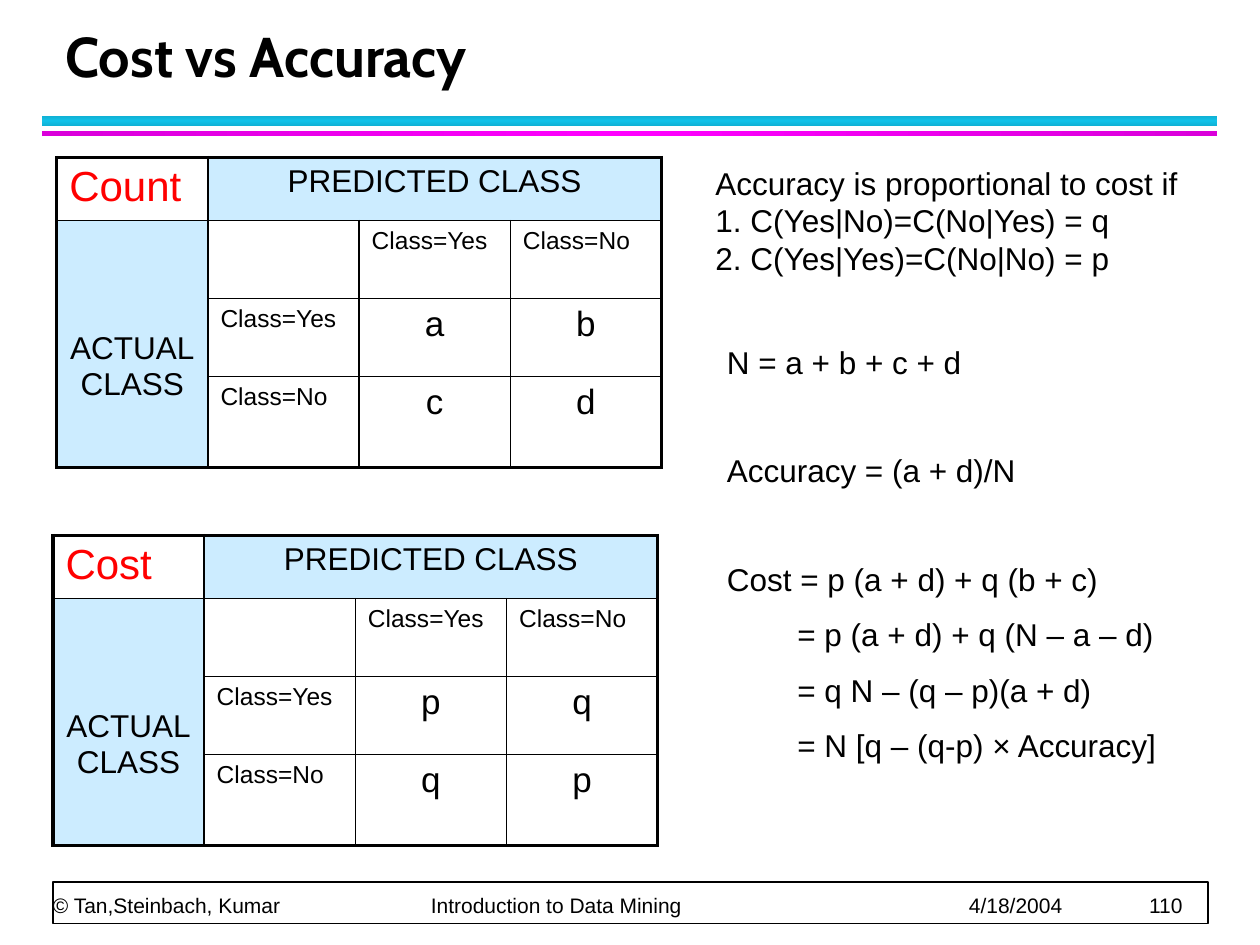
import copy

import pptx
import pptx.dml.color
import pptx.enum.shapes
import pptx.enum.text
import pptx.oxml.ns
import pptx.util
from lxml import etree

Inches = pptx.util.Inches
Pt = pptx.util.Pt
RGBColor = pptx.dml.color.RGBColor
Align = pptx.enum.text.PP_ALIGN
Anchor = pptx.enum.text.MSO_ANCHOR
qn = pptx.oxml.ns.qn

BLACK = RGBColor(0x00, 0x00, 0x00)
WHITE = RGBColor(0xFF, 0xFF, 0xFF)
RED = RGBColor(0xFF, 0x00, 0x00)
PALE = RGBColor(0xCC, 0xEC, 0xFF)
CYAN = RGBColor(0x12, 0xC2, 0xE9)
TEAL = RGBColor(0x10, 0xB0, 0xD3)
PINK = RGBColor(0xFF, 0x00, 0xFF)
PLUM = RGBColor(0xDA, 0x00, 0xDA)

THICK, THIN = 2.25, 1
COLS = [1.2] * 4
ROWS = [0.49, 0.62, 0.62, 0.72]


class Page:
    """Holds the text style and the slide being drawn."""

    style = {"name": "Arial", "size": Pt(18), "bold": False}

    def __init__(self, slide):
        self.slide = slide

    def label(self, para, text, color=BLACK, align=Align.LEFT, **extra):
        para.text = text
        para.alignment = align
        for run in para.runs:
            for key, val in {**self.style, **extra}.items():
                setattr(run.font, key, val)
            run.font.color.rgb = color

    def text(self, box, lines, anchor=Anchor.TOP, inset=(0.1, 0.05), **extra):
        """Lines are (text, space before in points, left indent in inches)."""
        frame = self.slide.shapes.add_textbox(*map(Inches, box)).text_frame
        side, edge = map(Inches, inset)
        form = {"word_wrap": True, "vertical_anchor": anchor,
                "margin_left": side, "margin_right": side,
                "margin_top": edge, "margin_bottom": edge}
        for key, val in form.items():
            setattr(frame, key, val)
        for num, (text, gap, indent) in enumerate(lines):
            para = frame.add_paragraph() if num else frame.paragraphs[0]
            self.label(para, text, **extra)
            para.space_before = Pt(gap)
            if indent:
                para._p.get_or_add_pPr().set("marL", str(Inches(indent)))
        return frame

    def rect(self, box, fill=WHITE, line=None):
        kind = pptx.enum.shapes.MSO_SHAPE.RECTANGLE
        shape = self.slide.shapes.add_shape(kind, *map(Inches, box))
        shape.shadow.inherit = False
        shape.fill.solid()
        shape.fill.fore_color.rgb = fill
        if line is None:
            shape.line.fill.background()
        else:
            shape.line.color.rgb = line
            shape.line.width = Pt(THIN)
        return shape

    def band(self, box, edge, mid, angle):
        shape = self.rect(box)
        shape.fill.gradient()
        shape.fill.gradient_angle = angle
        # A third stop is a copy of the first
        stops = shape._element.spPr.find(".//" + qn("a:gsLst"))
        stops.insert(1, copy.deepcopy(stops[0]))
        looks = [(0, edge), (0.5, mid), (1, edge)]
        for stop, (pos, color) in zip(shape.fill.gradient_stops, looks):
            stop.position = pos
            stop.color.rgb = color

    def border(self, cell, side, width):
        props = cell._tc.get_or_add_tcPr()
        line = etree.SubElement(props, qn("a:ln" + side), w=str(Pt(width)))
        fill = etree.SubElement(line, qn("a:solidFill"))
        etree.SubElement(fill, qn("a:srgbClr"), val=str(BLACK))

    def matrix(self, left, top, name, marks):
        box = map(Inches, (left, top, sum(COLS), sum(ROWS)))
        table = self.slide.shapes.add_table(len(ROWS), len(COLS), *box).table
        table.first_row = table.horz_banding = False
        for col, width in zip(table.columns, COLS):
            col.width = Inches(width)
        for row, height in zip(table.rows, ROWS):
            row.height = Inches(height)
        table.cell(0, 1).merge(table.cell(0, 3))
        table.cell(1, 0).merge(table.cell(3, 0))

        # Thick frame, thin grid, pale header cells
        for r in range(len(ROWS)):
            for c in range(len(COLS)):
                cell = table.cell(r, c)
                outer = {"L": c == 0,
                         "R": c + cell.span_width == len(COLS),
                         "T": r == 0,
                         "B": r + cell.span_height == len(ROWS)}
                if cell.is_spanned:
                    outer.update(R=c == len(COLS) - 1, B=r == len(ROWS) - 1)
                for side, out in outer.items():
                    if out or not cell.is_spanned:
                        self.border(cell, side, THICK if out else THIN)
                if (r == 0) != (c == 0):
                    cell.fill.solid()
                    cell.fill.fore_color.rgb = PALE
                else:
                    cell.fill.background()

        # Wording
        mid = {"align": Align.CENTER}
        small = {"size": Pt(14)}
        words = {(0, 0): (name, {"size": Pt(24), "color": RED}),
                 (0, 1): ("PREDICTED CLASS", mid),
                 (1, 0): ("ACTUAL\vCLASS", mid)}
        for num, label in enumerate(("Class=Yes", "Class=No"), 2):
            words[1, num] = words[num, 1] = (label, small)
        for num, mark in enumerate(marks):
            words[2 + num // 2, 2 + num % 2] = (mark, {**mid, "size": Pt(20)})
        for (r, c), (text, form) in words.items():
            self.label(table.cell(r, c).text_frame.paragraphs[0], text, **form)
        table.cell(1, 0).margin_top = Inches(0.88)

    def footer(self, box, parts, stops):
        line = [("\t".join(parts), 0, 0)]
        frame = self.text(box, line, Anchor.BOTTOM, (0, 0), size=Pt(12))
        para = frame.paragraphs[0]
        para.line_spacing = Pt(20)
        tabs = etree.SubElement(para._p.get_or_add_pPr(), qn("a:tabLst"))
        for stop in stops:
            etree.SubElement(tabs, qn("a:tab"), pos=str(Inches(stop)), algn="l")


def main():
    deck = pptx.Presentation()
    deck.slide_width, deck.slide_height = Inches(10), Inches(7.5)
    page = Page(deck.slides.add_slide(deck.slide_layouts[6]))

    # Bands under the title
    page.band((0.33, 0.92, 9.33, 0.08), TEAL, CYAN, 90)
    page.band((0.33, 1.04, 9.33, 0.04), PLUM, PINK, 0)

    # Footer
    page.rect((0.42, 7, 9.17, 0.33), line=BLACK)
    page.footer((0.42, 7, 9.15, 0.28),
                ["© Tan,Steinbach, Kumar", "Introduction to Data Mining",
                 "4/18/2004", "110"], [3, 7.27, 8.7])

    # Title
    title = page.text((0.42, 0.17, 9.06, 0.58), [("Cost vs Accuracy", 0, 0)],
                      Anchor.BOTTOM, name="Cabin", size=Pt(32), bold=True)
    title.paragraphs[0].line_spacing = Pt(36)

    # Count and cost tables
    page.matrix(0.45, 1.25, "Count", "abcd")
    page.matrix(0.42, 4.25, "Cost", "pqqp")

    # Formulas
    near, far, indent = 10, 40.5, 0.56
    page.text((5.67, 2.67, 3.92, 4.01), [
        ("N = a + b + c + d", 0, 0),
        ("Accuracy = (a + d)/N", far, 0),
        ("Cost = p (a + d) + q (b + c)", far, 0),
        ("= p (a + d) + q (N – a – d)", near, indent),
        ("= q N – (q – p)(a + d)", near, indent),
        ("= N [q – (q-p) × Accuracy]", near, indent)])

    # Conditions
    page.text((5.58, 1.25, 4.08, 1), [
        ("Accuracy is proportional to cost if\v"
         "1. C(Yes|No)=C(No|Yes) = q\v"
         "2. C(Yes|Yes)=C(No|No) = p", 0, 0)])

    deck.save("out.pptx")


if __name__ == "__main__":
    main()
